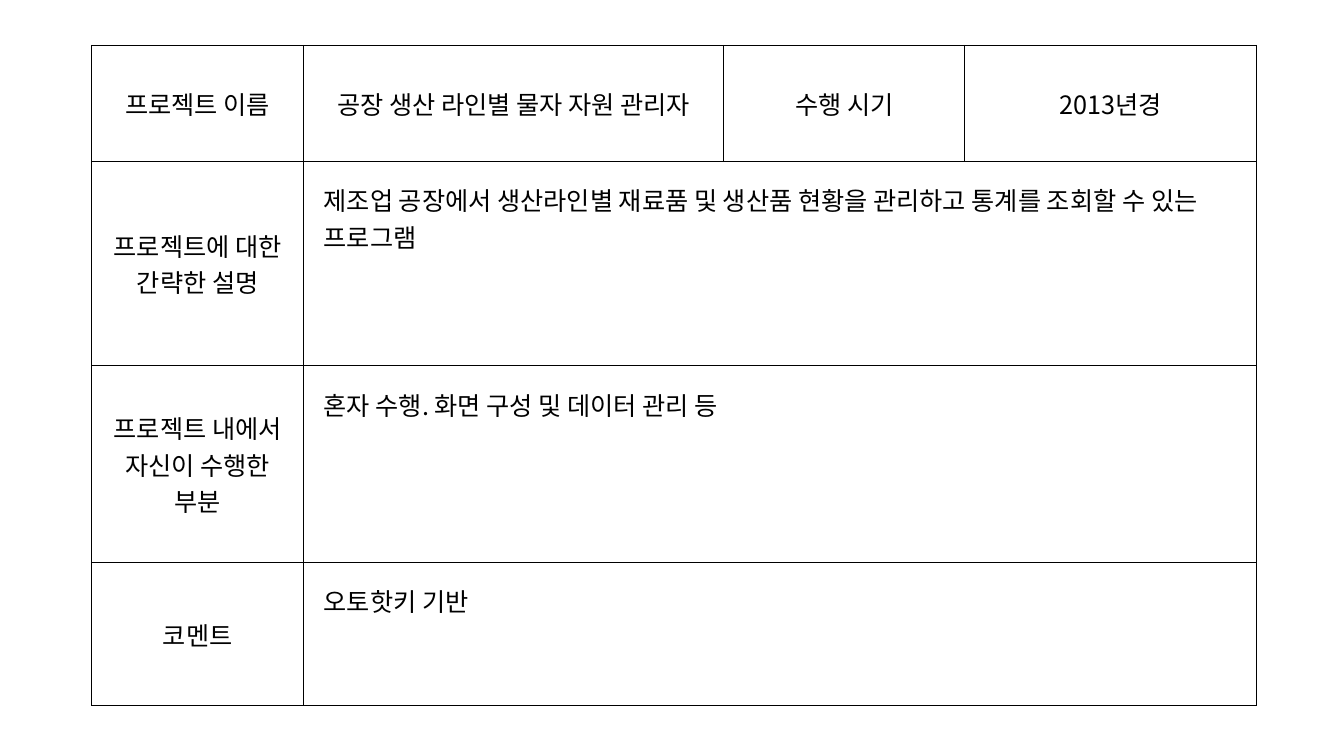
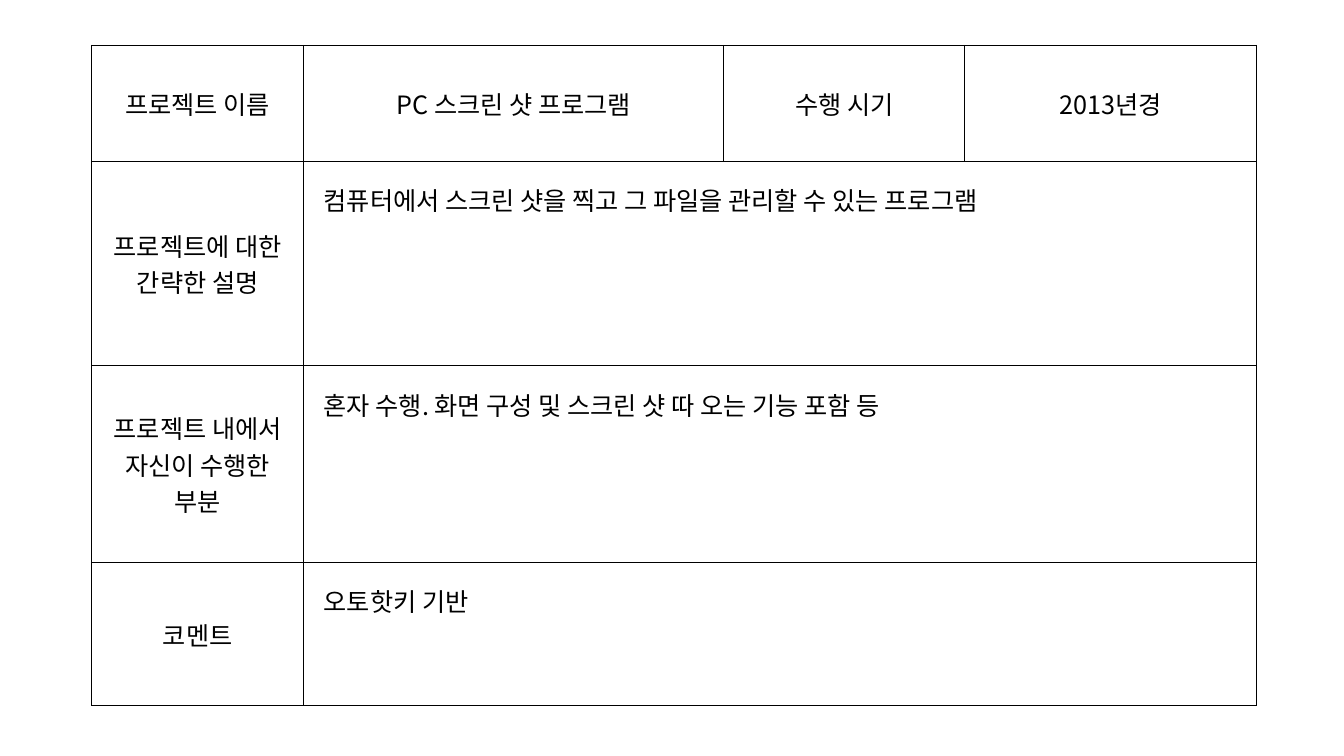
import dataclasses

import pptx
import pptx.dml.color
import pptx.enum.text
import pptx.oxml
import pptx.oxml.ns
import pptx.util
from pptx.util import Inches

ALIGN = pptx.enum.text.PP_ALIGN
ANCHOR = pptx.enum.text.MSO_ANCHOR


@dataclasses.dataclass(frozen=True)
class Theme:
    """Colours, type and line sizes shared by the slides."""
    ink: str = "000000"
    paper: str = "FFFFFF"
    font: str = "Noto Sans CJK KR"
    text_size: int = 18
    border_width: int = 1


THEME = Theme()
TABLE_BOX = (0.91, 0.45, 11.55, 6.55)
COLUMN_WIDTHS = (2.1, 4.17, 2.39, 2.89)
ROW_HEIGHTS = (1.15, 2.03, 1.95, 1.42)
NAME_LABEL, PERIOD_LABEL = "프로젝트 이름", "수행 시기"
DETAIL_LABELS = ("프로젝트에 대한 간략한 설명", "프로젝트 내에서 자신이 수행한 부분", "코멘트")

LABEL_FORMAT = {"vertical_anchor": ANCHOR.MIDDLE}
DETAIL_FORMAT = {"vertical_anchor": ANCHOR.TOP} | {
    f"margin_{side}": Inches(0.2) for side in ("left", "right", "top", "bottom")}

PROJECTS = (
    {"name": "공장 생산 라인별 물자 자원 관리자",
     "period": "2013년경",
     "details": ("제조업 공장에서 생산라인별 재료품 및 생산품 현황을 관리하고 통계를 조회할 수 있는 프로그램",
                 "혼자 수행. 화면 구성 및 데이터 관리 등",
                 "오토핫키 기반")},
    {"name": "PC 스크린 샷 프로그램",
     "period": "2013년경",
     "details": ("컴퓨터에서 스크린 샷을 찍고 그 파일을 관리할 수 있는 프로그램",
                 "혼자 수행. 화면 구성 및 스크린 샷 따 오는 기능 포함 등",
                 "오토핫키 기반")},
)


def set_values(target, values):
    """Set each named attribute of the target."""
    for name, value in values.items():
        setattr(target, name, value)


def frame_cell(cell):
    """Clear the cell's fill and rule all four of its sides."""
    cell.fill.background()
    properties = cell._tc.get_or_add_tcPr()
    width = pptx.util.Pt(THEME.border_width)
    for index, side in enumerate("LRTB"):
        properties.insert(index, pptx.oxml.parse_xml(
            f'<a:ln{side} {pptx.oxml.ns.nsdecls("a")} w="{width}">'
            f'<a:solidFill><a:srgbClr val="{THEME.ink}"/></a:solidFill></a:ln{side}>'))


def write_cell(cell, text, cell_format, alignment):
    """Write one paragraph into a cell in the shared type."""
    set_values(cell, cell_format)
    para = cell.text_frame.paragraphs[0]
    para.alignment = alignment
    span = para.add_run()
    span.text = text
    set_values(span.font, {"name": THEME.font, "size": pptx.util.Pt(THEME.text_size)})
    span.font.color.rgb = pptx.dml.color.RGBColor.from_string(THEME.ink)
    span.font._element.append(pptx.oxml.parse_xml(
        f'<a:ea {pptx.oxml.ns.nsdecls("a")} typeface="{THEME.font}"/>'))


def add_project_table(page, box, project):
    """Place the project table in the box: a heading row, then labelled details."""
    table = page.shapes.add_table(
        len(ROW_HEIGHTS), len(COLUMN_WIDTHS), *map(Inches, box)).table
    set_values(table, {"first_row": False, "horz_banding": False})
    for column, width in zip(table.columns, COLUMN_WIDTHS):
        column.width = Inches(width)
    for row, height in zip(table.rows, ROW_HEIGHTS):
        row.height = Inches(height)
    for cell in table.iter_cells():
        frame_cell(cell)

    heading = (NAME_LABEL, project["name"], PERIOD_LABEL, project["period"])
    for column, text in enumerate(heading):
        write_cell(table.cell(0, column), text, LABEL_FORMAT, ALIGN.CENTER)
    last_column = len(COLUMN_WIDTHS) - 1
    for row, (label, detail) in enumerate(zip(DETAIL_LABELS, project["details"]), 1):
        write_cell(table.cell(row, 0), label, LABEL_FORMAT, ALIGN.CENTER)
        table.cell(row, 1).merge(table.cell(row, last_column))
        write_cell(table.cell(row, 1), detail, DETAIL_FORMAT, ALIGN.LEFT)


def add_project_page(deck, project):
    """Add a blank page that holds one project table."""
    page = deck.slides.add_slide(deck.slide_layouts[6])
    page.background.fill.solid()
    page.background.fill.fore_color.rgb = pptx.dml.color.RGBColor.from_string(THEME.paper)
    add_project_table(page, TABLE_BOX, project)


def main():
    """Build the deck and save it."""
    deck = pptx.Presentation()
    set_values(deck, {"slide_width": Inches(13.33), "slide_height": Inches(7.5)})
    for project in PROJECTS:
        add_project_page(deck, project)
    deck.save("out.pptx")


main()
